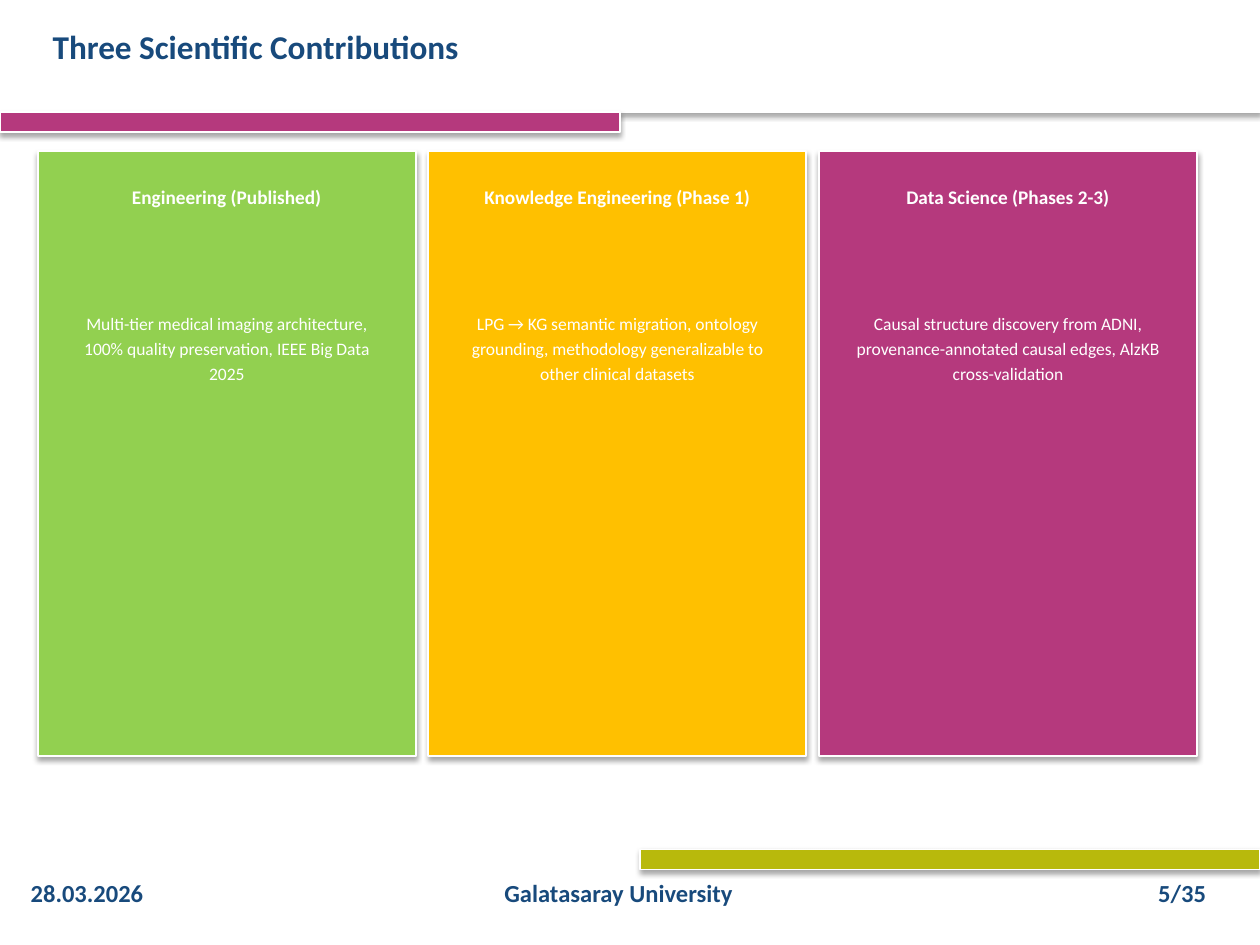
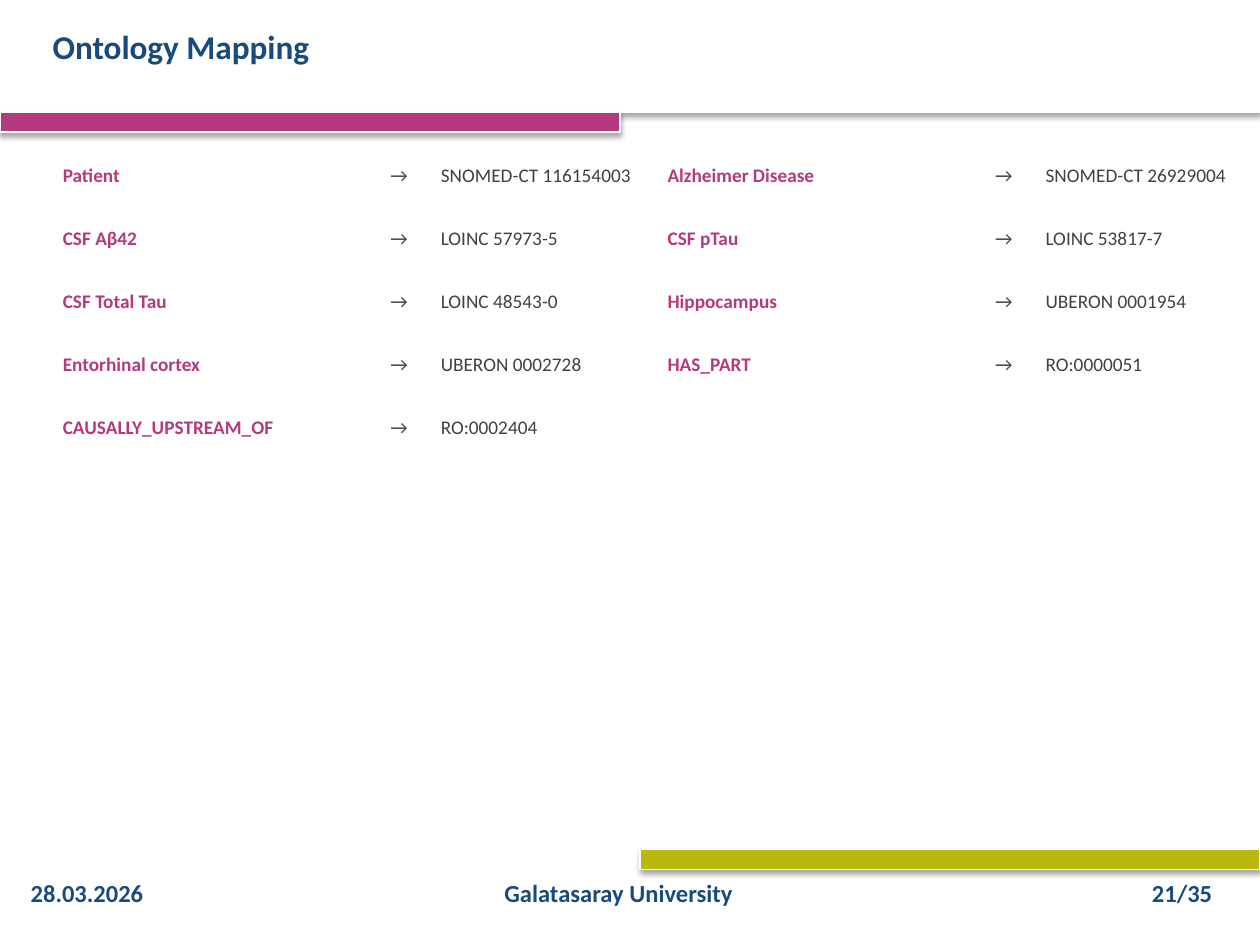
from dataclasses import dataclass

from lxml import etree
from pptx import Presentation
from pptx import util as u
from pptx.dml.color import RGBColor
from pptx.enum import shapes, text
from pptx.oxml import ns

Pt = u.Pt
FONT = "Calibri"
WHITE, NAVY, GREY = "FFFFFF", "184A7C", "404040"
MAGENTA, OLIVE, GREEN, AMBER = "B5397D", "B8B90C", "92D050", "FFC000"
SLIDE_W, SLIDE_H = 720, 540
BAND_W, BAND_H = 354.25, 11.5
HEADER_H = 64
TOTAL_SLIDES = 35


@dataclass(frozen=True)
class Box:
    x: float
    y: float
    w: float
    h: float

    def lengths(self) -> tuple:
        return Pt(self.x), Pt(self.y), Pt(self.w), Pt(self.h)


@dataclass(frozen=True)
class Contribution:
    title: str
    body: str
    color: str


@dataclass(frozen=True)
class Mapping:
    concept: str
    code: str


CONTRIBUTIONS = [
    Contribution(
        "Engineering (Published)",
        "Multi-tier medical imaging architecture, 100% quality preservation, IEEE Big Data 2025",
        GREEN,
    ),
    Contribution(
        "Knowledge Engineering (Phase 1)",
        "LPG → KG semantic migration, ontology grounding, methodology generalizable to other clinical datasets",
        AMBER,
    ),
    Contribution(
        "Data Science (Phases 2-3)",
        "Causal structure discovery from ADNI, provenance-annotated causal edges, AlzKB cross-validation",
        MAGENTA,
    ),
]

MAPPINGS = [
    Mapping("Patient", "SNOMED-CT 116154003"),
    Mapping("Alzheimer Disease", "SNOMED-CT 26929004"),
    Mapping("CSF Aβ42", "LOINC 57973-5"),
    Mapping("CSF pTau", "LOINC 53817-7"),
    Mapping("CSF Total Tau", "LOINC 48543-0"),
    Mapping("Hippocampus", "UBERON 0001954"),
    Mapping("Entorhinal cortex", "UBERON 0002728"),
    Mapping("HAS_PART", "RO:0000051"),
    Mapping("CAUSALLY_UPSTREAM_OF", "RO:0002404"),
]


def rgb(color: str) -> RGBColor:
    return RGBColor.from_string(color)


def add_shadow(sp) -> None:
    sp.shadow.inherit = False
    effects = sp._element.spPr.find(ns.qn("a:effectLst"))
    shadow = etree.SubElement(
        effects, ns.qn("a:outerShdw"),
        blurRad=str(Pt(3.1)), dist=str(Pt(1.8)), dir="5400000", rotWithShape="0",
    )
    black = etree.SubElement(shadow, ns.qn("a:srgbClr"), val="000000")
    etree.SubElement(black, ns.qn("a:alpha"), val="35000")


def add_panel(s, box: Box, color: str, line_width: float = 0.75) -> None:
    sp = s.shapes.add_shape(shapes.MSO_SHAPE.RECTANGLE, *box.lengths())
    sp.fill.solid()
    sp.fill.fore_color.rgb = rgb(color)
    sp.line.color.rgb = rgb(WHITE)
    sp.line.width = Pt(line_width)
    add_shadow(sp)


def add_text(s, box: Box, content: str, *, size: float = 11, color: str = GREY,
             bold: bool = False, center: bool = False, spacing: float | None = None) -> None:
    tf = s.shapes.add_textbox(*box.lengths()).text_frame
    tf.word_wrap = True
    tf.auto_size = text.MSO_AUTO_SIZE.SHAPE_TO_FIT_TEXT
    p = tf.paragraphs[0]
    if center:
        p.alignment = text.PP_ALIGN.CENTER
    if spacing:
        p.line_spacing = spacing
    r = p.add_run()
    r.text = content
    r.font.name = FONT
    r.font.size = Pt(size)
    r.font.bold = bold
    r.font.color.rgb = rgb(color)


def add_slide(prs, title: str, number: int):
    s = prs.slides.add_slide(prs.slide_layouts[6])
    add_panel(s, Box(0, 0, SLIDE_W, HEADER_H), WHITE)
    add_panel(s, Box(0, HEADER_H, BAND_W, BAND_H), MAGENTA)
    add_panel(s, Box(SLIDE_W - BAND_W, 485.25, BAND_W, BAND_H), OLIVE)
    add_text(s, Box(23, 11.5, 500, 34.5), title, size=19, color=NAVY, bold=True)
    footers = [
        (0, 99.5, "28.03.2026"),
        (252, 203, "Galatasaray University"),
        (633, 85, f"{number}/{TOTAL_SLIDES}"),
    ]
    for x, w, label in footers:
        add_text(s, Box(x, 498.25, w, 31), label, size=14, color=NAVY, bold=True, center=True)
    return s


def add_contributions(s) -> None:
    left, top, width, height, gap = 21.6, 86.4, 216, 345.6, 7.2
    for i, item in enumerate(CONTRIBUTIONS):
        x = left + i * (width + gap)
        add_panel(s, Box(x, top, width, height), item.color, line_width=1)
        add_text(s, Box(x + 7.2, top + 14.4, width - 14.4, 57.6), item.title,
                 color=WHITE, bold=True, center=True, spacing=1.1)
        add_text(s, Box(x + 10.8, top + 86.4, width - 21.6, 244.8), item.body,
                 size=10, color=WHITE, center=True, spacing=1.2)


def add_mappings(s) -> None:
    left, top, column_pitch, row_pitch, height = 28.8, 90, 345.6, 36, 25.2
    for i, item in enumerate(MAPPINGS):
        row, column = divmod(i, 2)
        x, y = left + column * column_pitch, top + row * row_pitch
        add_text(s, Box(x, y, 180, height), item.concept, color=MAGENTA, bold=True)
        add_text(s, Box(x + 187.2, y, 21.6, height), "→")
        add_text(s, Box(x + 216, y, 144, height), item.code)


def main() -> None:
    prs = Presentation()
    prs.slide_width, prs.slide_height = Pt(SLIDE_W), Pt(SLIDE_H)
    add_contributions(add_slide(prs, "Three Scientific Contributions", 5))
    add_mappings(add_slide(prs, "Ontology Mapping", 21))
    prs.save("out.pptx")


if __name__ == "__main__":
    main()
